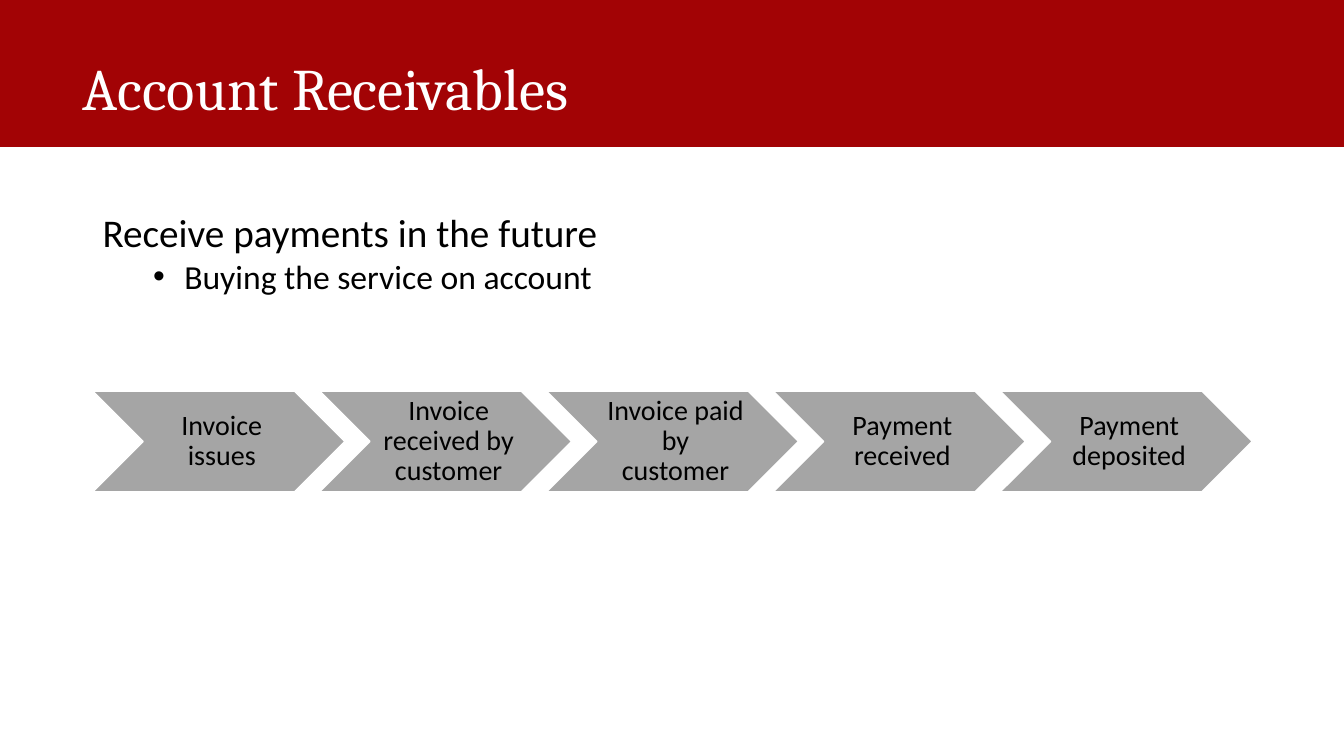
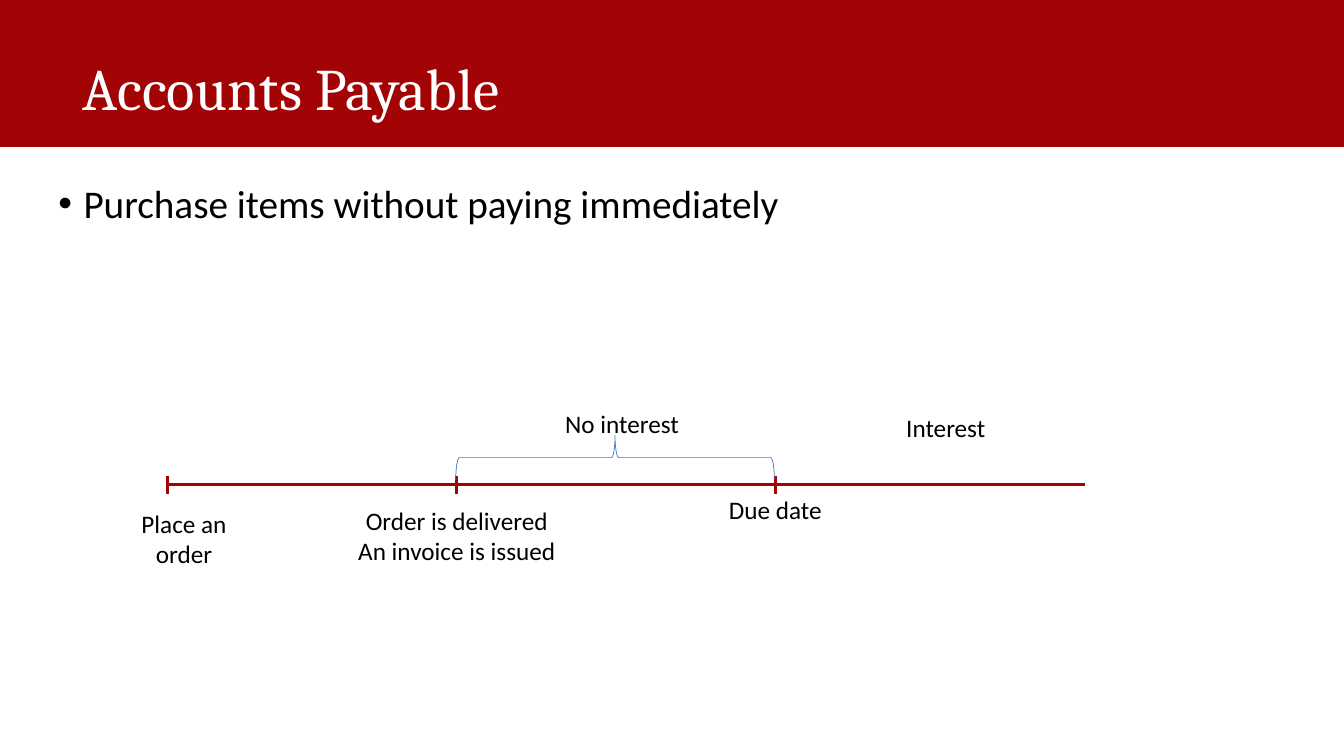
from lxml.etree import SubElement
from pptx import Presentation
from pptx.dml.color import RGBColor
from pptx.enum.shapes import MSO_CONNECTOR, MSO_SHAPE
from pptx.enum.text import MSO_ANCHOR, PP_ALIGN
from pptx.oxml.ns import qn
from pptx.util import Inches, Pt

RED = "A20305"
GREY = "A5A5A5"
BLUE = "4472C4"
WHITE = "FFFFFF"
BLACK = "000000"
BODY_FONT = "Calibri"
TITLE_FONT = "Cambria"
SLIDE_WIDTH = 13.33
AXIS_TOP = 4.81


def color(value):
    return RGBColor.from_string(value)


def add_bullet(para, indent, hanging):
    properties = para._p.get_or_add_pPr()
    properties.set("marL", str(Inches(indent)))
    properties.set("indent", str(-Inches(hanging)))
    SubElement(properties, qn("a:buFont")).set("typeface", "Arial")
    SubElement(properties, qn("a:buChar")).set("char", "•")


def write_text(para, text, size=18, font=BODY_FONT, fill=BLACK, align=PP_ALIGN.LEFT,
               line_spacing=None, space_before=None, bullet=None):
    para.text = text
    para.alignment = align
    para.line_spacing = line_spacing
    if space_before:
        para.space_before = Pt(space_before)
    if bullet:
        add_bullet(para, *bullet)
    for span in para.runs:
        span.font.size = Pt(size)
        span.font.name = font
        span.font.color.rgb = color(fill)


def add_text_box(page, left, top, width, height, text, anchor=MSO_ANCHOR.TOP, **style):
    box = page.shapes.add_textbox(Inches(left), Inches(top), Inches(width), Inches(height))
    frame = box.text_frame
    frame.word_wrap = True
    frame.vertical_anchor = anchor
    write_text(frame.paragraphs[0], text, **style)
    return frame


def add_shape(page, kind, left, top, width, height, fill, line, line_width=1):
    shape = page.shapes.add_shape(kind, Inches(left), Inches(top), Inches(width), Inches(height))
    shape.shadow.inherit = False
    if fill:
        shape.fill.solid()
        shape.fill.fore_color.rgb = color(fill)
    else:
        shape.fill.background()
    shape.line.color.rgb = color(line)
    shape.line.width = Pt(line_width)
    return shape


def add_line(page, left, top, right, bottom):
    line = page.shapes.add_connector(MSO_CONNECTOR.STRAIGHT, Inches(left), Inches(top),
                                     Inches(right), Inches(bottom))
    line.line.color.rgb = color(RED)
    line.line.width = Pt(2.25)
    SubElement(line._element.spPr, qn("a:effectLst"))


def add_chevron(page, left, text):
    chevron = add_shape(page, MSO_SHAPE.CHEVRON, left, 3.88, 2.5, 1, GREY, WHITE)
    frame = chevron.text_frame
    frame.word_wrap = True
    frame.vertical_anchor = MSO_ANCHOR.MIDDLE
    frame.margin_left = Inches(0.09)
    frame.margin_top = frame.margin_right = frame.margin_bottom = Inches(0.03)
    write_text(frame.paragraphs[0], text, size=20, align=PP_ALIGN.CENTER, line_spacing=0.9)


def add_titled_slide(deck, title):
    page = deck.slides.add_slide(deck.slide_layouts[6])
    add_shape(page, MSO_SHAPE.RECTANGLE, 0, 0, SLIDE_WIDTH, 1.45, RED, RED)
    add_text_box(page, 0.72, 0.18, 11.5, 1.45, title, anchor=MSO_ANCHOR.MIDDLE,
                 size=42, font=TITLE_FONT, fill=WHITE, line_spacing=0.9)
    return page


def build_receivables(deck):
    page = add_titled_slide(deck, "Account Receivables")
    steps = ["Invoice issues", "Invoice received by customer", "Invoice paid by customer",
             "Payment received", "Payment deposited"]
    for index, step in enumerate(steps):
        add_chevron(page, 0.92 + index * 2.25, step)
    frame = add_text_box(page, 0.92, 2.02, 6.67, 0.98, "Receive payments in the future", size=28)
    write_text(frame.add_paragraph(), "Buying the service on account", size=24,
               bullet=(0.81, 0.31))


def build_payable(deck):
    page = add_titled_slide(deck, "Accounts Payable")
    add_text_box(page, 0.48, 1.78, 11.98, 1.2, "Purchase items without paying immediately",
                 size=28, line_spacing=0.9, space_before=10, bullet=(0.25, 0.25))

    ordered, delivered, due = 1.66, 4.53, 7.69
    add_line(page, ordered, AXIS_TOP, 10.76, AXIS_TOP)
    for tick in (ordered, delivered, due):
        add_line(page, tick, AXIS_TOP - 0.09, tick, AXIS_TOP + 0.09)

    labels = [
        (1.07, 4.99, 1.51, 0.71, "Place an order"),
        (3.37, 4.96, 2.32, 0.71, "Order is delivered\vAn invoice is issued"),
        (6.53, 4.86, 2.32, 0.4, "Due date"),
        (5.01, 4, 2.32, 0.4, "No interest"),
        (8.22, 4.04, 2.32, 0.4, "Interest"),
    ]
    for label in labels:
        add_text_box(page, *label, align=PP_ALIGN.CENTER)

    brace = add_shape(page, MSO_SHAPE.LEFT_BRACE, 5.88, 2.96, 0.44, due - delivered,
                      None, BLUE, 0.5)
    brace.rotation = 90


def main():
    deck = Presentation()
    deck.slide_width = Inches(SLIDE_WIDTH)
    deck.slide_height = Inches(7.5)
    build_receivables(deck)
    build_payable(deck)
    deck.save("out.pptx")


if __name__ == "__main__":
    main()
